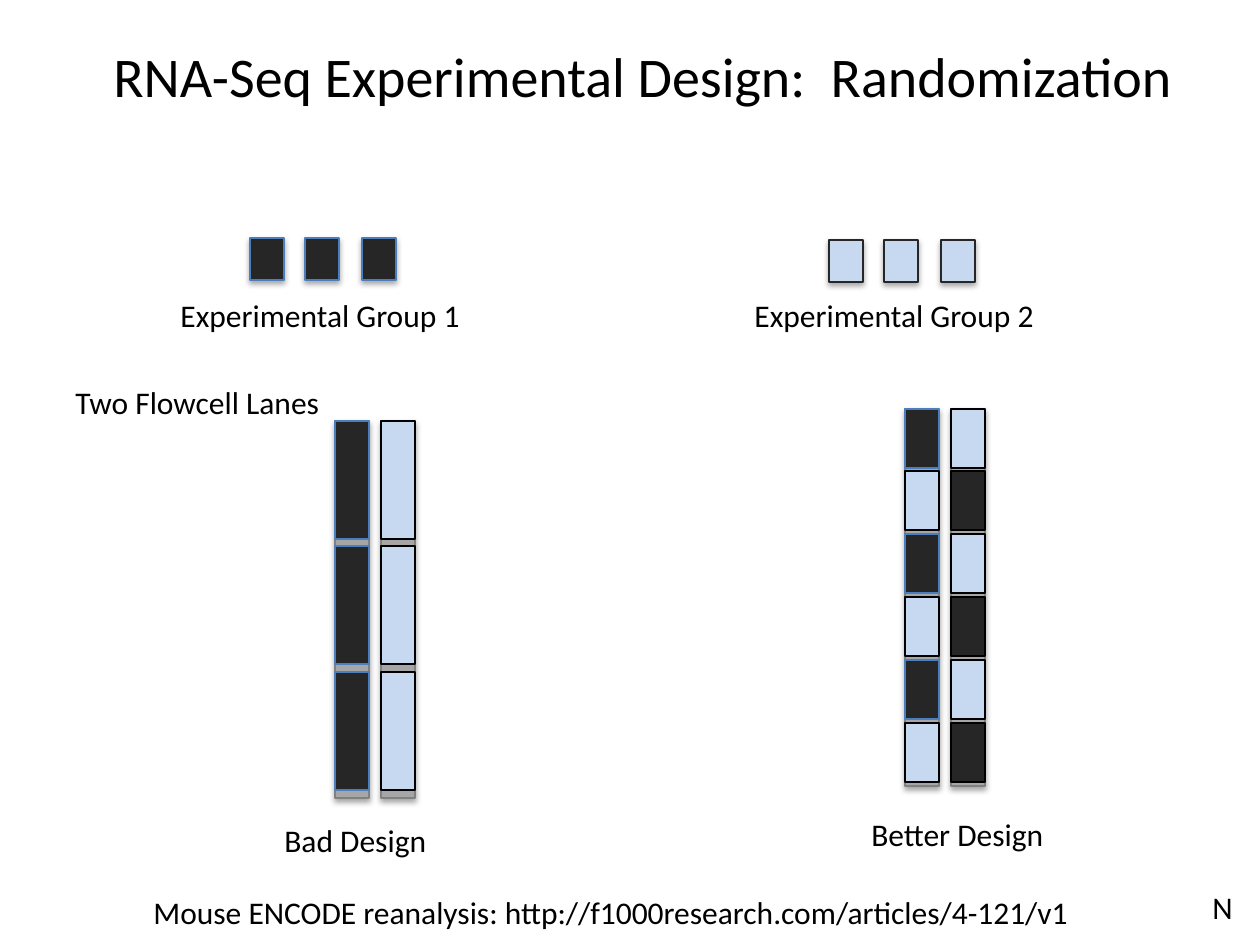
from lxml.etree import SubElement
from pptx import Presentation
from pptx.dml.color import RGBColor
from pptx.enum.shapes import MSO_SHAPE as Preset
from pptx.enum.text import MSO_AUTO_SIZE as AutoSize
from pptx.oxml.ns import qn
from pptx.util import Pt

PX = 914400 / 126
DARK, LIGHT, BLUE, BLACK = "262626", "C6D9F1", "4B7EBC", "000000"
LANE, LANE_EDGE = "A6A6A6", "808080"
CELL_WIDTH, SAMPLE_HEIGHT, LANE_HEIGHT = 34, 42, 377
hex_color = RGBColor.from_string


def add_cell(shapes, left, top, height, fill, edge, shadowed=False):
    box = [round(n * PX) for n in (left, top, CELL_WIDTH, height)]
    cell = shapes.add_shape(Preset.RECTANGLE, *box)
    cell.fill.solid()
    cell.fill.fore_color.rgb = hex_color(fill)
    cell.line.color.rgb = hex_color(edge)
    cell.line.width = Pt(0.75)
    cell.shadow.inherit = False
    if shadowed:
        effects = cell._element.spPr.find(qn("a:effectLst"))
        shadow = SubElement(effects, qn("a:outerShdw"), blurRad="40000",
                            dist="23000", dir="5400000", rotWithShape="0")
        tint = SubElement(shadow, qn("a:srgbClr"), val=BLACK)
        SubElement(tint, qn("a:alpha"), val="35000")


def add_label(text, left, top, width, height=50, size=18, wrap=False):
    box = [round(n * PX) for n in (left, top, width, height)]
    frame = slide.shapes.add_textbox(*box).text_frame
    frame.word_wrap = wrap
    frame.auto_size = AutoSize.SHAPE_TO_FIT_TEXT
    run = frame.paragraphs[0].add_run()
    run.text = text
    run.font.name = "Calibri"
    run.font.size = Pt(size)
    run.font.color.rgb = hex_color(BLACK)


deck = Presentation()
deck.slide_width = round(1260 * PX)
deck.slide_height = round(945 * PX)
slide = deck.slides.add_slide(deck.slide_layouts[6])

add_label("RNA-Seq Experimental Design:  Randomization", 101, 35, 1095, 81, size=32)

for sample_lefts, top, fill, edge in [
    ((250, 305, 362), 238, DARK, BLUE),
    ((829, 884, 941), 240, LIGHT, DARK),
]:
    samples = slide.shapes.add_group_shape()
    for left in sample_lefts:
        add_cell(samples.shapes, left, top, SAMPLE_HEIGHT, fill, edge, shadowed=True)

add_label("Experimental Group 1", 168, 290, 307)
add_label("Experimental Group 2", 742, 290, 307)
add_label("Two Flowcell Lanes", 63, 377, 271)

bad_lanes = [[(DARK, BLUE)] * 3, [(LIGHT, BLACK)] * 3]
better_lanes = [
    [(DARK, BLUE), (LIGHT, BLACK)] * 3,
    [(LIGHT, BLACK), (DARK, BLACK)] * 3,
]
for design_left, top, gap, lanes in [
    (335, 421, 7, bad_lanes),
    (905, 409, 3, better_lanes),
]:
    for lane_index, blocks in enumerate(lanes):
        left = design_left + 46 * lane_index
        add_cell(slide.shapes, left, top, LANE_HEIGHT, LANE, LANE_EDGE, shadowed=True)
        block_height = LANE_HEIGHT // len(blocks) - gap
        for row, (fill, edge) in enumerate(blocks):
            block_top = top + LANE_HEIGHT * row // len(blocks)
            add_cell(slide.shapes, left, block_top, block_height, fill, edge)

add_label("Bad Design", 272, 815, 195, wrap=True)
add_label("Better Design", 859, 809, 199)
add_label("Mouse ENCODE reanalysis: http://f1000research.com/articles/4-121/v1",
          141, 887, 1055, wrap=True)
add_label("N", 1200, 882, 45)

deck.save("out.pptx")
